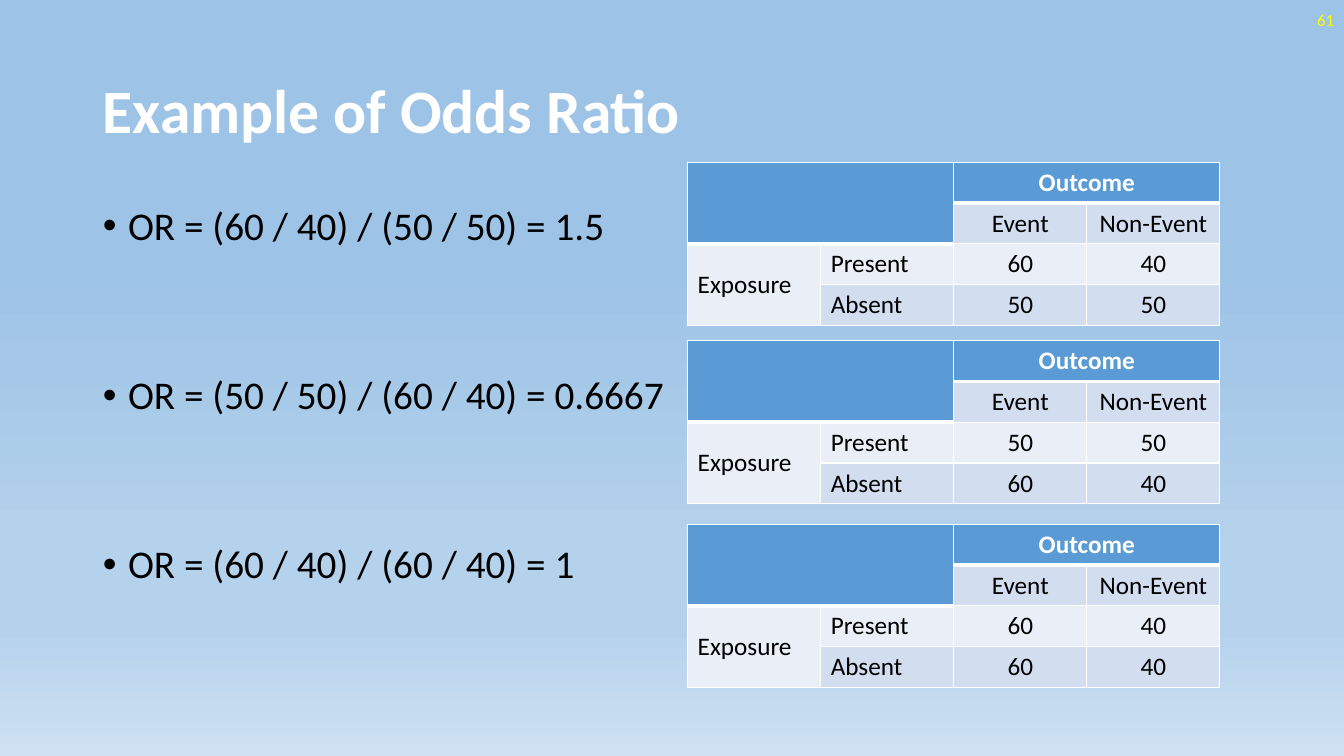
from dataclasses import dataclass

from lxml import etree
from pptx import Presentation
from pptx import util as u
from pptx.dml.color import RGBColor
from pptx.enum import text
from pptx.oxml.ns import qn


@dataclass(frozen=True)
class Theme:
    """Colours, font and type sizes of the slide."""
    font: str = "Calibri"
    white: str = "FFFFFF"
    black: str = "000000"
    number: str = "FFFF00"
    header: str = "5B9BD5"
    light: str = "EAEFF7"
    band: str = "D2DEEF"
    sky: tuple = ((35, "9DC3E6"), (74, "B5D2EC"), (83, "B5D2EC"), (100, "CEE1F2"))
    title_pt: int = 44
    body_pt: int = 28
    table_pt: int = 18
    number_pt: int = 12


T = Theme()
BULLETS = ["OR = (60 / 40) / (50 / 50) = 1.5",
           "OR = (50 / 50) / (60 / 40) = 0.6667",
           "OR = (60 / 40) / (60 / 40) = 1"]
TABLES = [(1.61, ("60", "40"), ("50", "50")),
          (3.38, ("50", "50"), ("60", "40")),
          (5.2, ("60", "40"), ("60", "40"))]


def place(sp, box):
    """Move a shape to a box given in inches."""
    sp.left, sp.top, sp.width, sp.height = map(u.Inches, box)


def style(p, size, color, bold=False, align=text.PP_ALIGN.LEFT):
    """Set the font and alignment of a paragraph."""
    p.font.name, p.font.size, p.font.bold = T.font, u.Pt(size), bold
    p.font.color.rgb = RGBColor.from_string(color)
    p.alignment = align


def add_solid(parent, color):
    """Append a solid fill element to an XML parent."""
    solid = etree.SubElement(parent, qn("a:solidFill"))
    etree.SubElement(solid, qn("a:srgbClr"), val=color)


def paint_background(s):
    """Fill the slide background with the vertical sky gradient."""
    fill = s.background.fill
    fill.gradient()
    fill.gradient_angle = 270
    stops = next(s.element.iter(qn("a:gsLst")))
    for gs in list(stops):
        stops.remove(gs)
    for pos, color in T.sky:
        gs = etree.SubElement(stops, qn("a:gs"), pos=str(pos * 1000))
        etree.SubElement(gs, qn("a:srgbClr"), val=color)


def add_title(s, box, title):
    """Fill the title placeholder."""
    sp = s.shapes.title
    place(sp, box)
    tf = sp.text_frame
    tf.text = title
    tf.auto_size = text.MSO_AUTO_SIZE.NONE
    tf.vertical_anchor = text.MSO_ANCHOR.MIDDLE
    p = tf.paragraphs[0]
    style(p, T.title_pt, T.white, True)
    p.line_spacing = 0.9


def add_number(s, box, number):
    """Add the slide number in the corner."""
    sp = s.shapes.add_textbox(*map(u.Inches, box))
    tf = sp.text_frame
    tf.word_wrap = True
    tf.vertical_anchor = text.MSO_ANCHOR.MIDDLE
    tf.text = number
    style(tf.paragraphs[0], T.number_pt, T.number, align=text.PP_ALIGN.RIGHT)


def add_bullets(s, box, lines):
    """Fill the body placeholder with widely spaced bullets."""
    sp = s.placeholders[1]
    place(sp, box)
    tf = sp.text_frame
    tf.text = "\n".join(lines)
    tf.auto_size = text.MSO_AUTO_SIZE.NONE
    for p in tf.paragraphs:
        style(p, T.body_pt, T.black)
        p.line_spacing, p.space_before = 0.9, u.Pt(90.5)
        pPr = p._p.get_or_add_pPr()
        pPr.set("marL", str(u.Inches(0.25)))
        pPr.set("indent", str(u.Inches(-0.25)))


def set_borders(cell, widths):
    """Draw white cell borders with a width in points for each side."""
    tcPr = cell._tc.get_or_add_tcPr()
    for i, (side, width) in enumerate(widths.items()):
        ln = etree.Element(qn(f"a:ln{side}"), w=str(u.Pt(width)))
        add_solid(ln, T.white)
        tcPr.insert(i, ln)


def add_odds_table(s, box, present, absent):
    """Add a two-by-two table of exposure against outcome."""
    rows = [("", "", "Outcome", ""),
            ("", "", "Event", "Non-Event"),
            ("Exposure", "Present", *present),
            ("", "Absent", *absent)]
    table = s.shapes.add_table(4, 4, *map(u.Inches, box)).table

    def is_header(r, c):
        return r == 0 or (r == 1 and c < 2)

    for r, row in enumerate(rows):
        for c, value in enumerate(row):
            cell, header = table.cell(r, c), is_header(r, c)
            cell.text = value
            align = text.PP_ALIGN.LEFT if c < 2 else text.PP_ALIGN.CENTER
            style(cell.text_frame.paragraphs[0], T.table_pt,
                  T.white if header else T.black, header, align)
            cell.fill.solid()
            color = T.header if header else T.light if r == 2 or c == 0 else T.band
            cell.fill.fore_color.rgb = RGBColor.from_string(color)
            below_header = r > 0 and is_header(r - 1, c)
            set_borders(cell, {"L": 1, "R": 1, "T": 3 if below_header else 1,
                               "B": 3 if header else 1})
    for first, last in [((0, 0), (1, 1)), ((0, 2), (0, 3)), ((2, 0), (3, 0))]:
        table.cell(*first).merge(table.cell(*last))
    table.cell(2, 0).vertical_anchor = text.MSO_ANCHOR.MIDDLE


def main():
    """Build the slide and save it."""
    prs = Presentation()
    prs.slide_width, prs.slide_height = u.Inches(13.33), u.Inches(7.5)
    s = prs.slides.add_slide(prs.slide_layouts[1])
    paint_background(s)
    add_title(s, (0.92, 0.4, 11.5, 1.45), "Example of Odds Ratio")
    add_number(s, (10.33, 0, 3, 0.4), "61")
    add_bullets(s, (0.92, 2, 11.5, 4.76), BULLETS)
    for top, present, absent in TABLES:
        add_odds_table(s, (6.82, top, 5.28, 1.62), present, absent)
    prs.save("out.pptx")


if __name__ == "__main__":
    main()
